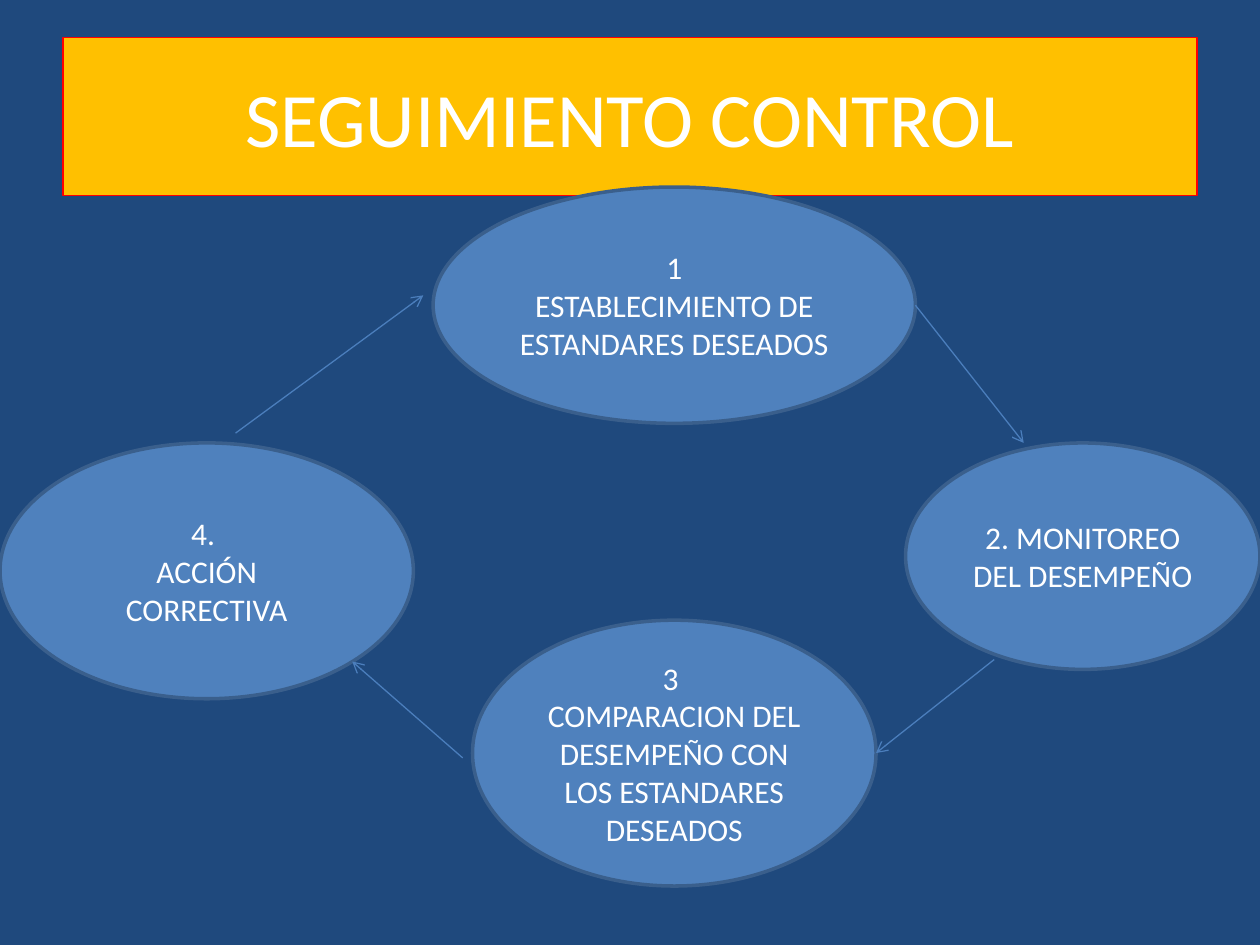
from dataclasses import dataclass

from lxml.etree import SubElement
from pptx import Presentation
from pptx.dml.color import RGBColor
from pptx.enum.shapes import MSO_CONNECTOR as Connector, MSO_SHAPE as Shape
from pptx.enum.text import MSO_ANCHOR as Anchor, PP_ALIGN as Align
from pptx.oxml.ns import qn
from pptx.slide import Slide
from pptx.util import Pt

NAVY = RGBColor(0x1F, 0x49, 0x7D)
AMBER = RGBColor(0xFF, 0xC0, 0x00)
RED = RGBColor(0xFF, 0x00, 0x00)
BLUE = RGBColor(0x4F, 0x81, 0xBD)
OUTLINE = RGBColor(0x3A, 0x5F, 0x8C)
ARROW = RGBColor(0x4B, 0x7E, 0xBC)
WHITE = RGBColor(0xFF, 0xFF, 0xFF)

STAGES = [
    ((247.5, 106.9, 275.6, 135), ["1", "ESTABLECIMIENTO DE ESTANDARES DESEADOS"]),
    ((0, 253.1, 236.2, 146.2), ["4. ", "ACCIÓN CORRECTIVA"]),
    ((517.5, 253.1, 202.5, 129.4), ["2. MONITOREO DEL DESEMPEÑO"]),
    ((270, 354.4, 230.6, 151.9),
     ["3 ", "COMPARACION DEL DESEMPEÑO CON LOS ESTANDARES DESEADOS"]),
]
ARROWS = [
    (523.1, 174.4, 585, 253.1),
    (264.4, 433.1, 201.3, 378),
    (568.1, 376.9, 500.6, 430.3),
    (134.6, 247.5, 241.9, 168.8),
]


@dataclass
class Painter:
    """Draws styled elements on the current page, with lengths in points."""

    page: Slide
    font: str = "Calibri"

    def background(self, color):
        fill = self.page.background.fill
        fill.solid()
        fill.fore_color.rgb = color

    def shape(self, kind, bounds, fill, line, weight, lines, size):
        box = self.page.shapes.add_shape(kind, *map(Pt, bounds))
        box.shadow.inherit = False
        box.fill.solid()
        box.fill.fore_color.rgb = fill
        box.line.color.rgb = line
        box.line.width = Pt(weight)
        frame = box.text_frame
        frame.word_wrap = True
        frame.vertical_anchor = Anchor.MIDDLE
        for index, text in enumerate(lines):
            para = frame.add_paragraph() if index else frame.paragraphs[0]
            para.alignment = Align.CENTER
            span = para.add_run()
            span.text = text
            span.font.name = self.font
            span.font.size = Pt(size)
            span.font.color.rgb = WHITE

    def title(self, bounds, text):
        self.shape(Shape.RECTANGLE, bounds, AMBER, RED, 0.75, [text], 44)

    def stage(self, bounds, lines):
        self.shape(Shape.OVAL, bounds, BLUE, OUTLINE, 2, lines, 18)

    def arrow(self, ends):
        link = self.page.shapes.add_connector(Connector.STRAIGHT, *map(Pt, ends))
        link.line.color.rgb = ARROW
        link.line.width = Pt(0.75)
        SubElement(link.line._get_or_add_ln(), qn("a:tailEnd"), type="arrow")
        SubElement(link._element.spPr, qn("a:effectLst"))


def main():
    deck = Presentation()
    deck.slide_width, deck.slide_height = Pt(720), Pt(540)
    painter = Painter(deck.slides.add_slide(deck.slide_layouts[6]))
    painter.background(NAVY)
    painter.title((36, 21.6, 648, 90), "SEGUIMIENTO CONTROL")
    for bounds, lines in STAGES:
        painter.stage(bounds, lines)
    for ends in ARROWS:
        painter.arrow(ends)
    deck.save("out.pptx")


if __name__ == "__main__":
    main()
